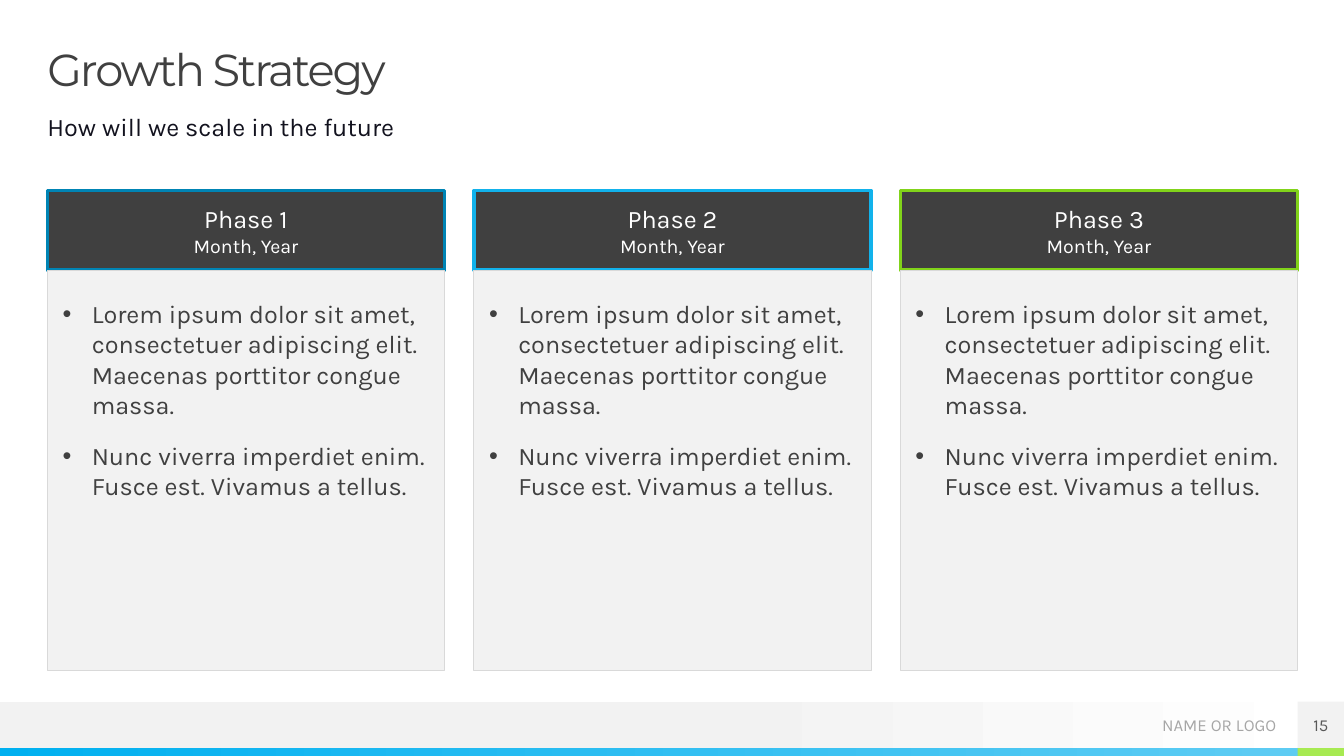
import pptx
import pptx.dml.color
import pptx.enum.shapes
import pptx.enum.text
import pptx.oxml
import pptx.oxml.ns
import pptx.util
from pptx.util import Inches

THEME = {
    "heading_font": "Montserrat", "body_font": "Karla",
    "title_size": 32, "body_size": 18, "date_size": 14, "footer_size": 12,
    "dark": "404040", "ink": "12121E", "white": "FFFFFF", "panel": "F2F2F2",
    "border": "D9D9D9", "footer": "A6A6A6", "number": "595959", "green": "A7EA52",
    "blue_start": "00B0F0", "blue_end": "5ECCF3",
    "phases": ["0084B4", "12B2EB", "81D31A"],
}
COLOR = pptx.dml.color.RGBColor.from_string
ALIGN = pptx.enum.text.PP_ALIGN
ANCHOR = pptx.enum.text.MSO_ANCHOR
MARGIN, CONTENT_WIDTH = 0.47, 12.4
CARD_WIDTH, CARD_TOP, HEADER_HEIGHT, LIST_HEIGHT = 3.94, 1.89, 0.79, 3.97
BAR_TOP, BAR_HEIGHT, STRIP_HEIGHT, NUMBER_LEFT = 6.96, 0.46, 0.08, 12.87
BULLETS = [
    "Lorem ipsum dolor sit amet, consectetuer adipiscing elit. Maecenas porttitor congue massa.",
    "Nunc viverra imperdiet enim. Fusce est. Vivamus a tellus.",
]


def add_block(left, top, width, height, fill):
    shape = slide.shapes.add_shape(
        pptx.enum.shapes.MSO_SHAPE.RECTANGLE,
        Inches(left), Inches(top), Inches(width), Inches(height))
    shape.shadow.inherit = False
    shape.line.fill.background()
    if isinstance(fill, str):
        shape.fill.solid()
        shape.fill.fore_color.rgb = COLOR(fill)
    else:
        shape.fill.gradient()
        shape.fill.gradient_angle = 0
        for stop, (position, color) in zip(shape.fill.gradient_stops, fill):
            stop.position = position
            stop.color.rgb = COLOR(color)
    return shape


def format_text(shape, size, color, align=ALIGN.LEFT, anchor=ANCHOR.TOP,
                insets=(0, 0, 0, 0), font="body_font"):
    frame = shape.text_frame
    frame.word_wrap = True
    frame.auto_size = pptx.enum.text.MSO_AUTO_SIZE.NONE
    frame.vertical_anchor = anchor
    frame.margin_left, frame.margin_top, frame.margin_right, frame.margin_bottom = map(Inches, insets)
    for index, paragraph in enumerate(frame.paragraphs):
        paragraph.alignment = align
        paragraph.space_before = pptx.util.Pt(10 if index else 0)
        for run in paragraph.runs:
            run.font.name = THEME[font]
            run.font.size = pptx.util.Pt(THEME[size])
            run.font.color.rgb = COLOR(THEME[color])
            run.font.bold = False


presentation = pptx.Presentation()
presentation.slide_width = Inches(13.33)
presentation.slide_height = Inches(7.5)
slide = presentation.slides.add_slide(presentation.slide_layouts.get_by_name("Comparison"))
title, subtitle, *phase_lists = slide.placeholders

add_block(0, BAR_TOP, 13.33, BAR_HEIGHT, [(0.53, THEME["panel"]), (1, THEME["white"])])
add_block(0, BAR_TOP + BAR_HEIGHT, NUMBER_LEFT, STRIP_HEIGHT,
          [(0, THEME["blue_start"]), (1, THEME["blue_end"])])
add_block(NUMBER_LEFT, BAR_TOP + BAR_HEIGHT, 0.46, STRIP_HEIGHT, THEME["green"])

footer = slide.shapes.add_textbox(Inches(10.42), Inches(BAR_TOP), Inches(2.24), Inches(0.47))
footer.text_frame.text = "NAME OR LOGO"
format_text(footer, "footer_size", "footer", ALIGN.RIGHT, ANCHOR.MIDDLE)

page_number = add_block(NUMBER_LEFT, BAR_TOP, 0.46, BAR_HEIGHT, THEME["panel"])
page_number.text_frame.text = "15"
format_text(page_number, "footer_size", "number", ALIGN.CENTER, ANCHOR.MIDDLE)

title.left, title.top, title.width, title.height = map(Inches, (MARGIN, 0.47, CONTENT_WIDTH, 0.47))
title.text_frame.text = "Growth Strategy"
format_text(title, "title_size", "dark", font="heading_font")
title_paragraph = title.text_frame.paragraphs[0]
title_paragraph.line_spacing = 0.9
title_paragraph.runs[0].font._element.set("spc", "-150")

subtitle.left, subtitle.top, subtitle.width, subtitle.height = map(
    Inches, (MARGIN, 1.1, CONTENT_WIDTH, 0.39))
subtitle.text_frame.text = "How will we scale in the future"
format_text(subtitle, "body_size", "ink")

for index, (phase_list, accent) in enumerate(zip(phase_lists, THEME["phases"])):
    left = MARGIN + index * (CONTENT_WIDTH - CARD_WIDTH) / 2

    header = add_block(left, CARD_TOP, CARD_WIDTH, HEADER_HEIGHT, THEME["dark"])
    header.line.color.rgb = COLOR(accent)
    header.line.width = pptx.util.Pt(2.5)
    header.text_frame.text = f"Phase {index + 1}\vMonth, Year"
    format_text(header, "body_size", "white", ALIGN.CENTER, ANCHOR.MIDDLE, (0.12, 0.04, 0.12, 0.04))
    header.text_frame.paragraphs[0].runs[1].font.size = pptx.util.Pt(THEME["date_size"])
    phase_list.element.addprevious(header.element)

    phase_list.left, phase_list.top, phase_list.width, phase_list.height = map(
        Inches, (left, CARD_TOP + HEADER_HEIGHT, CARD_WIDTH, LIST_HEIGHT))
    phase_list.fill.solid()
    phase_list.fill.fore_color.rgb = COLOR(THEME["panel"])
    phase_list.line.color.rgb = COLOR(THEME["border"])
    phase_list.line.width = pptx.util.Pt(0.75)
    phase_list.text_frame.text = "\n".join(BULLETS)
    for paragraph in phase_list.text_frame.paragraphs:
        properties = paragraph._p.get_or_add_pPr()
        properties.set("marL", str(Inches(0.29)))
        properties.set("indent", str(Inches(-0.29)))
        namespace = pptx.oxml.ns.nsdecls("a")
        for bullet_xml in (
            f'<a:buClr {namespace}><a:srgbClr val="{THEME["dark"]}"/></a:buClr>',
            f'<a:buFont {namespace} typeface="Arial"/>',
            f'<a:buChar {namespace} char="•"/>',
        ):
            properties.append(pptx.oxml.parse_xml(bullet_xml))
        paragraph.space_after = pptx.util.Pt(5)
    format_text(phase_list, "body_size", "dark", insets=(0.15, 0.28, 0.15, 0))

presentation.save("out.pptx")
